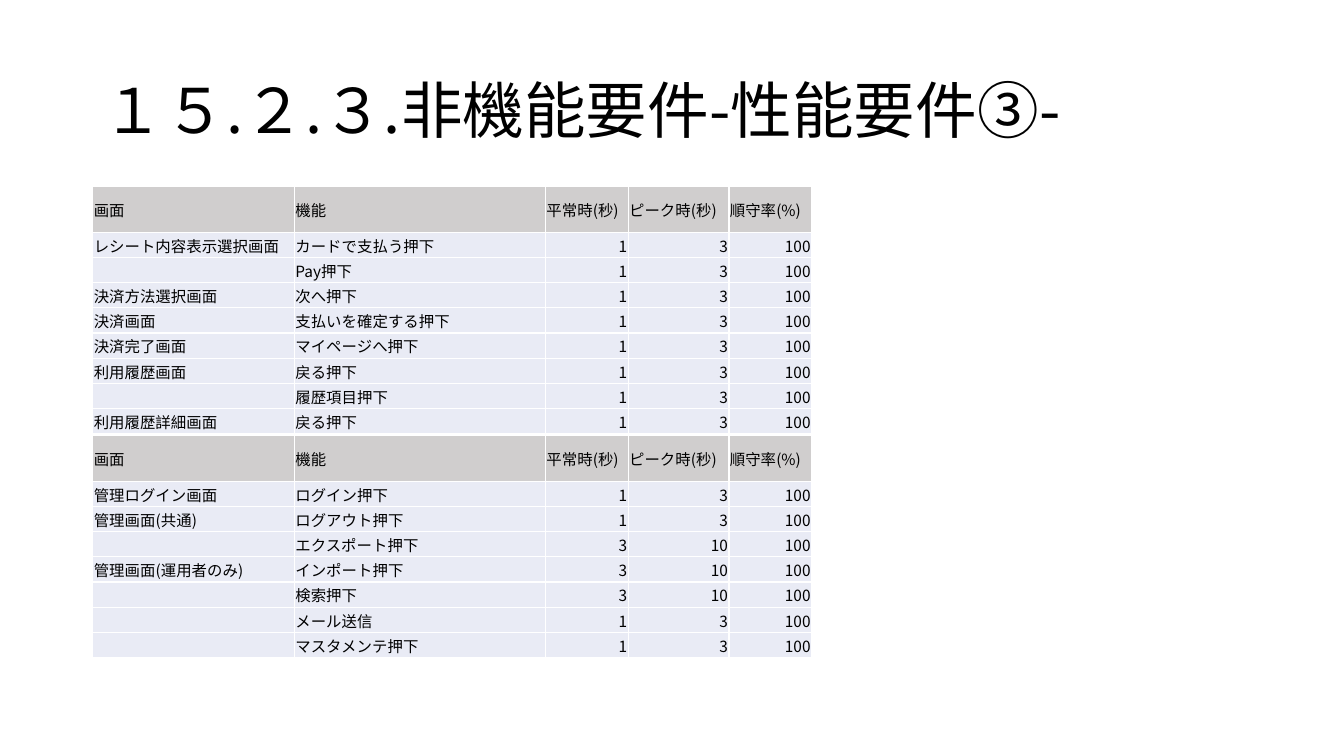
from dataclasses import dataclass

from lxml.etree import SubElement
from pptx import Presentation
from pptx.dml.color import RGBColor
from pptx.enum.text import MSO_ANCHOR, PP_ALIGN
from pptx.oxml import parse_xml
from pptx.oxml.ns import nsdecls, qn
from pptx.util import Emu, Pt

FONT = "Noto Sans CJK JP"
COLORS = {"text": "000000", "header": "D0CECE", "body": "E9EBF5", "border": "FFFFFF"}
LEFT = 92
COLUMN_WIDTHS = (200, 249, 82, 100, 82)
ROW_HEIGHT = 25
HEADER = ("画面", "機能", "平常時(秒)", "ピーク時(秒)", "順守率(%)")
COMPLIANCE = 100


@dataclass(frozen=True)
class Requirement:
    screen: str
    action: str
    normal: int = 1
    peak: int = 3

    def cells(self) -> tuple[str, ...]:
        return (self.screen, self.action, str(self.normal), str(self.peak), str(COMPLIANCE))


@dataclass(frozen=True)
class RequirementTable:
    top: int
    requirements: tuple[Requirement, ...]


TABLES = (
    RequirementTable(185, (
        Requirement("レシート内容表示選択画面", "カードで支払う押下"),
        Requirement("", "Pay押下"),
        Requirement("決済方法選択画面", "次へ押下"),
        Requirement("決済画面", "支払いを確定する押下"),
        Requirement("決済完了画面", "マイページへ押下"),
        Requirement("利用履歴画面", "戻る押下"),
        Requirement("", "履歴項目押下"),
        Requirement("利用履歴詳細画面", "戻る押下"),
    )),
    RequirementTable(432, (
        Requirement("管理ログイン画面", "ログイン押下"),
        Requirement("管理画面(共通)", "ログアウト押下"),
        Requirement("", "エクスポート押下", 3, 10),
        Requirement("管理画面(運用者のみ)", "インポート押下", 3, 10),
        Requirement("", "検索押下", 3, 10),
        Requirement("", "メール送信"),
        Requirement("", "マスタメンテ押下"),
    )),
)


def px(length: int) -> Emu:
    """Convert px, at 100 to the inch, into EMU."""
    return Emu(length * 9144)


def format_paragraph(para, size: int, align: PP_ALIGN) -> None:
    para.alignment = align
    for span in para.runs:
        span.font.size = Pt(size)
        span.font.bold = False
        span.font.color.rgb = RGBColor.from_string(COLORS["text"])
        span.font.name = FONT
        SubElement(span.font._element, qn("a:ea"), typeface=FONT)
    if not para.runs:
        # The end mark keeps an empty cell from growing its row.
        SubElement(para._p, qn("a:endParaRPr"), sz=str(size * 100))


def add_borders(cell) -> None:
    properties = cell._tc.get_or_add_tcPr()
    for index, side in enumerate(("lnL", "lnR", "lnT", "lnB")):
        properties.insert(index, parse_xml(
            f'<a:{side} {nsdecls("a")} w="{Pt(1)}"><a:solidFill>'
            f'<a:srgbClr val="{COLORS["border"]}"/></a:solidFill></a:{side}>'))


def fill_cell(cell, text: str, color: str, align: PP_ALIGN) -> None:
    cell.text_frame.text = text
    cell.vertical_anchor = MSO_ANCHOR.MIDDLE
    cell.margin_left = cell.margin_right = cell.margin_top = px(1)
    cell.margin_bottom = 0
    cell.fill.solid()
    cell.fill.fore_color.rgb = RGBColor.from_string(COLORS[color])
    add_borders(cell)
    format_paragraph(cell.text_frame.paragraphs[0], 11, align)


def add_requirement_table(slide, layout: RequirementTable) -> None:
    rows = [HEADER, *(requirement.cells() for requirement in layout.requirements)]
    table = slide.shapes.add_table(
        len(rows), len(HEADER), px(LEFT), px(layout.top),
        px(sum(COLUMN_WIDTHS)), px(ROW_HEIGHT * len(rows))).table
    table.horz_banding = False
    for column, width in zip(table.columns, COLUMN_WIDTHS):
        column.width = px(width)
    for row_index, texts in enumerate(rows):
        table.rows[row_index].height = px(ROW_HEIGHT)
        for column_index, text in enumerate(texts):
            is_number = row_index > 0 and column_index >= 2
            fill_cell(table.cell(row_index, column_index), text,
                      "body" if row_index else "header",
                      PP_ALIGN.RIGHT if is_number else PP_ALIGN.LEFT)


def add_title(slide) -> None:
    title = slide.shapes.title
    title.left, title.top, title.width, title.height = map(px, (LEFT, 40, 1150, 145))
    title.text_frame.text = "１５.２.３.非機能要件-性能要件③-"
    title.text_frame.vertical_anchor = MSO_ANCHOR.MIDDLE
    para = title.text_frame.paragraphs[0]
    para.line_spacing = 0.9
    format_paragraph(para, 44, PP_ALIGN.LEFT)


def main() -> None:
    deck = Presentation()
    deck.slide_width, deck.slide_height = px(1333), px(750)
    slide = deck.slides.add_slide(deck.slide_layouts.get_by_name("Title Only"))
    add_title(slide)
    for layout in TABLES:
        add_requirement_table(slide, layout)
    deck.save("out.pptx")


if __name__ == "__main__":
    main()
